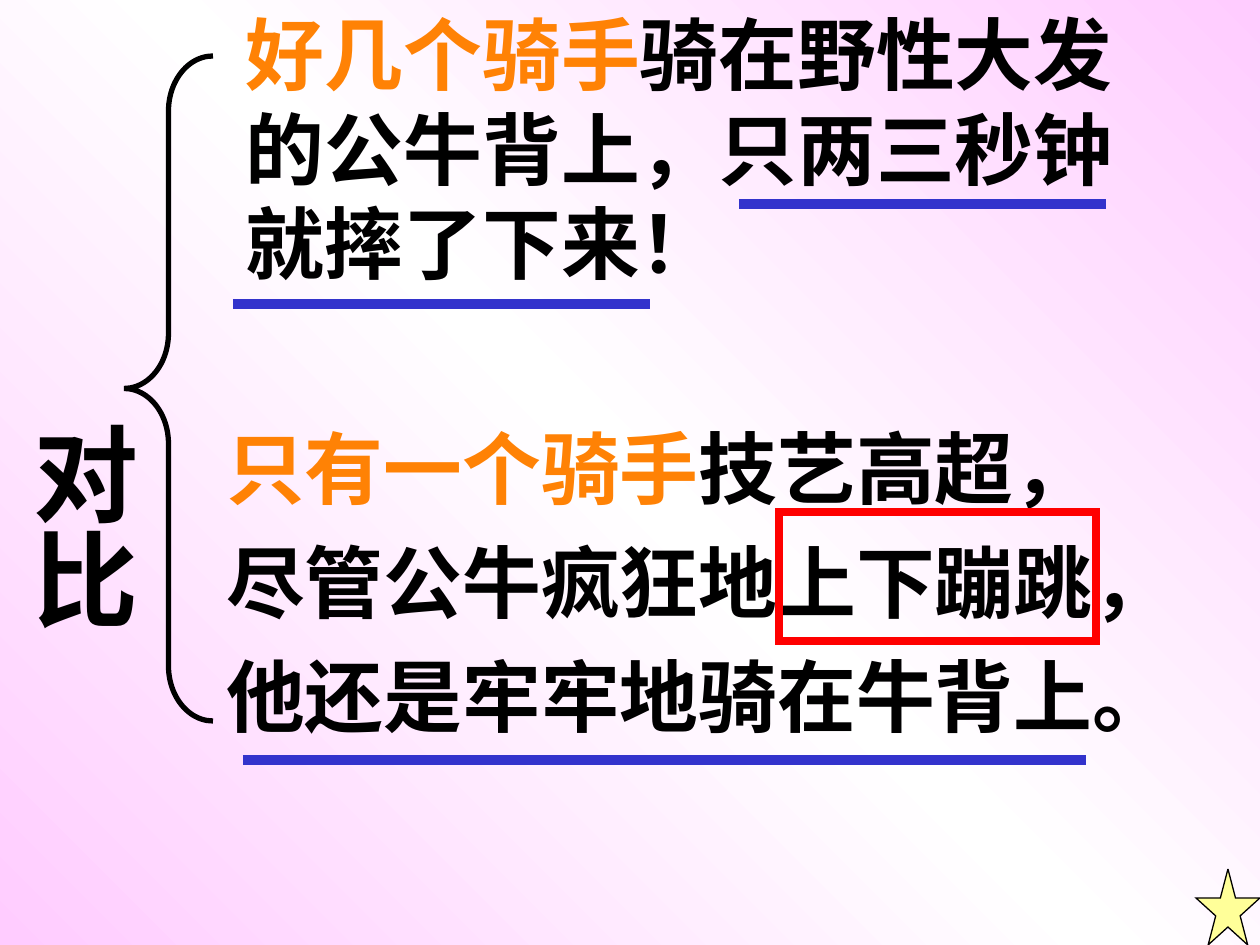
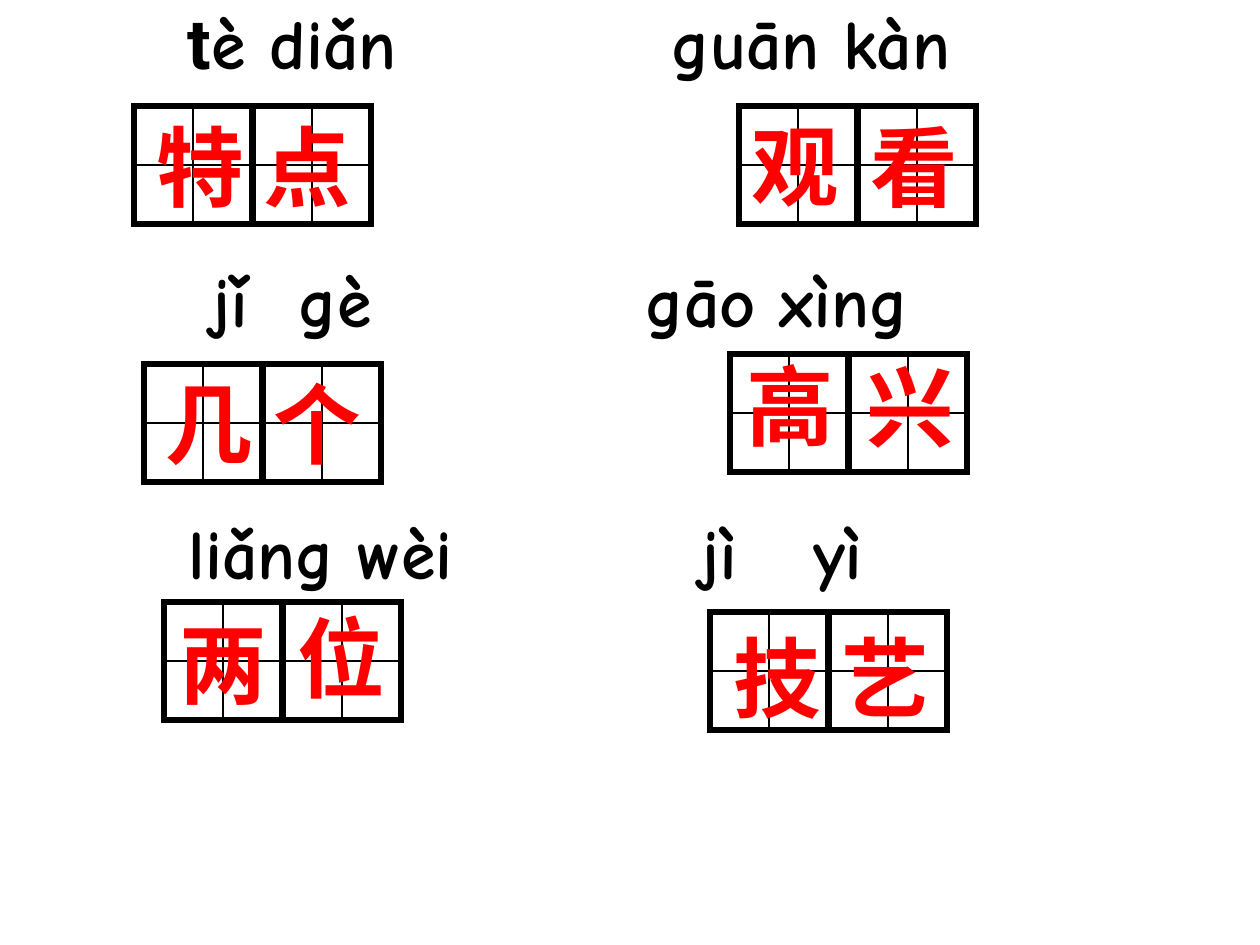
from copy import deepcopy
from typing import NamedTuple

from pptx import Presentation
from pptx.dml.color import RGBColor
from pptx.enum.shapes import MSO_CONNECTOR, MSO_SHAPE
from pptx.oxml.ns import qn
from pptx.oxml.xmlchemy import OxmlElement
from pptx.util import Emu, Pt

EMU_PER_PX = 914400 / 126
STRAIGHT = MSO_CONNECTOR.STRAIGHT
RECT = MSO_SHAPE.RECTANGLE
BRACE = MSO_SHAPE.LEFT_BRACE
STAR = MSO_SHAPE.STAR_5_POINT

COLORS = {
    "ink": "000000",
    "orange": "FF8205",
    "red": "FF0000",
    "blue": "3333CC",
    "yellow": "FFFF99",
    "pink": "FFCCFF",
    "white": "FFFFFF",
}
CJK = "Noto Sans CJK SC"
SERIF = "Times New Roman"
PINYIN = "Comic Neue"
SANS = "Roboto"
CELL = 118
CELL_PITCH = 119


class Box(NamedTuple):
    x: int
    y: int
    w: int
    h: int


class Run(NamedTuple):
    text: str
    color: str = "ink"
    font: str = CJK


class Underline(NamedTuple):
    x1: int
    x2: int
    y: int


class Tile(NamedTuple):
    pinyin: list[Run]
    pinyin_x: int
    char: str
    char_x: int
    char_y: int


class Word(NamedTuple):
    x: int
    y: int
    pinyin_y: int
    tiles: list[Tile]


UNDERLINES = [
    Underline(739, 1106, 204),
    Underline(233, 650, 304),
    Underline(243, 1086, 760),
]


def syllable(text: str) -> list[Run]:
    return [Run(text, font=PINYIN)]


WORDS = [
    Word(134, 106, 0, [
        Tile([Run("t", font=SANS), Run("è", font=PINYIN)], 188, "特", 157, 113),
        Tile(syllable("diǎn"), 270, "点", 264, 113),
    ]),
    Word(739, 106, 0, [
        Tile(syllable("guān"), 672, "观", 752, 112),
        Tile(syllable("kàn"), 844, "看", 871, 113),
    ]),
    Word(144, 364, 257, [
        Tile(syllable("jǐ"), 213, "几", 166, 370),
        Tile(syllable("gè"), 299, "个", 274, 370),
    ]),
    Word(730, 354, 257, [
        Tile(syllable("gāo"), 646, "高", 747, 352),
        Tile(syllable("xìng"), 780, "兴", 867, 353),
    ]),
    Word(164, 602, 509, [
        Tile(syllable("liǎng"), 189, "两", 180, 610),
        Tile(syllable("wèi"), 358, "位", 298, 604),
    ]),
    Word(710, 612, 509, [
        Tile(syllable("jì"), 702, "技", 734, 624),
        Tile(syllable("yì"), 814, "艺", 842, 624),
    ]),
]


def px(n: float) -> Emu:
    return Emu(round(n * EMU_PER_PX))


def rgb(name: str) -> RGBColor:
    return RGBColor.from_string(COLORS[name])


def add_text(s, box: Box, lines: list[list[Run]], *, size: int,
             line_pt: float = 0, gap_pt: float = 0, vertical: bool = False):
    sp = s.shapes.add_textbox(*map(px, box))
    tf = sp.text_frame
    tf.word_wrap = True
    tf.margin_left = tf.margin_right = tf.margin_top = tf.margin_bottom = 0
    if vertical:
        tf._txBody.bodyPr.set("vert", "eaVert")
    for i, line in enumerate(lines):
        p = tf.add_paragraph() if i else tf.paragraphs[0]
        if line_pt:
            p.line_spacing = Pt(line_pt)
        if i and gap_pt:
            p.space_before = Pt(gap_pt)
        for run in line:
            r = p.add_run()
            r.text = run.text
            r.font.size = Pt(size)
            r.font.bold = True
            r.font.name = run.font
            r.font.color.rgb = rgb(run.color)
            if run.font in (CJK, SERIF):
                ea = OxmlElement("a:ea")
                ea.set("typeface", CJK)
                r._r.get_or_add_rPr().append(ea)
    return sp


def add_shape(s, kind, box: Box, *, line: str, width: float, fill: str = ""):
    sp = s.shapes.add_shape(kind, *map(px, box))
    sp.shadow.inherit = False
    if fill:
        sp.fill.solid()
        sp.fill.fore_color.rgb = rgb(fill)
    else:
        sp.fill.background()
    sp.line.color.rgb = rgb(line)
    sp.line.width = Pt(width)
    miter = OxmlElement("a:miter")
    miter.set("lim", "800000")
    sp.line._get_or_add_ln().append(miter)
    return sp


def add_line(s, x1: int, y1: int, x2: int, y2: int, *, color: str, width: float):
    c = s.shapes.add_connector(STRAIGHT, px(x1), px(y1), px(x2), px(y2))
    c.line.color.rgb = rgb(color)
    c.line.width = Pt(width)
    c._element.spPr.append(OxmlElement("a:effectLst"))
    return c


def add_cell(s, x: int, y: int) -> None:
    sp = add_shape(s, RECT, Box(x, y, CELL, CELL), line="ink", width=3)
    for start, end in ((1, 3), (0, 2)):
        c = add_line(s, x, y, x, y, color="ink", width=0.75)
        c.begin_connect(sp, start)
        c.end_connect(sp, end)


def set_gradient(s) -> None:
    fill = s.background.fill
    fill.gradient()
    fill.gradient_angle = 225
    stops = s._element.find(".//" + qn("a:gsLst"))
    stops.insert(1, deepcopy(stops[0]))
    for i, (stop, name) in enumerate(zip(fill.gradient_stops, ("pink", "white", "pink"))):
        stop.position = i / 2
        stop.color.rgb = rgb(name)


def build_contrast(prs) -> None:
    s = prs.slides.add_slide(prs.slide_layouts[6])
    set_gradient(s)
    brace = add_shape(s, BRACE, Box(124, 56, 89, 665), line="ink", width=3)
    brace.adjustments[0] = 0.62
    add_text(s, Box(226, 420, 1000, 330), [
        [Run("只有一个骑手", "orange", SERIF), Run("技艺高超，")],
        [Run("尽管公牛疯狂地上下蹦跳，")],
        [Run("他还是牢牢地骑在牛背上。")],
    ], size=45, line_pt=54, gap_pt=11.2)
    add_text(s, Box(246, 6, 900, 284), [
        [Run("好几个骑手", "orange", SERIF), Run("骑在野性大发")],
        [Run("的公牛背上，只两三秒钟")],
        [Run("就摔了下来！")],
    ], size=45, line_pt=54)
    for u in UNDERLINES:
        add_line(s, u.x1, u.y, u.x2, u.y, color="blue", width=6)
    add_shape(s, RECT, Box(779, 512, 317, 129), line="red", width=4.5)
    add_text(s, Box(19, 422, 126, 327), [[Run("对比", font=SERIF)]],
             size=60, line_pt=72, vertical=True)
    add_shape(s, STAR, Box(1196, 869, 64, 76), line="ink", width=0.75, fill="yellow")


def build_words(prs) -> None:
    s = prs.slides.add_slide(prs.slide_layouts[6])
    s.background.fill.solid()
    s.background.fill.fore_color.rgb = rgb("white")
    for word in WORDS:
        for i, tile in enumerate(word.tiles):
            add_cell(s, word.x + i * CELL_PITCH, word.y)
            add_text(s, Box(tile.pinyin_x, word.pinyin_y, 200, 85),
                     [tile.pinyin], size=40)
            add_text(s, Box(tile.char_x, tile.char_y, 100, 106),
                     [[Run(tile.char, "red", SERIF)]], size=50, line_pt=60)


def main() -> None:
    prs = Presentation()
    prs.slide_width, prs.slide_height = px(1260), px(945)
    build_contrast(prs)
    build_words(prs)
    prs.save("out.pptx")


if __name__ == "__main__":
    main()
